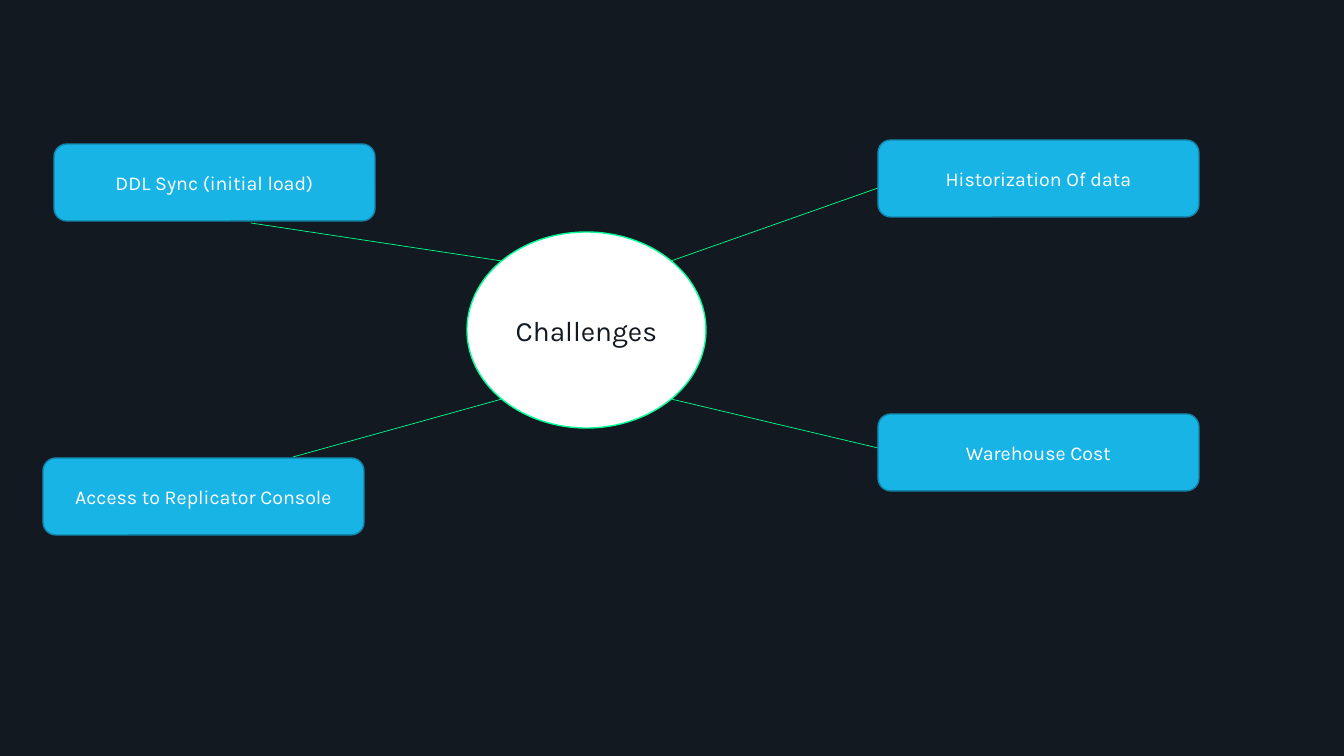
import math

from lxml import etree
from pptx import Presentation
from pptx import util as u
from pptx.dml.color import RGBColor
from pptx.enum import shapes, text
from pptx.oxml.ns import qn

SCALE = 914400 / 100.8  # EMU in one px
FONT = "Karla"
DARK, WHITE, BLUE, BLUE_EDGE = "121921", "FFFFFF", "19B4E6", "1285AA"
HUB_EDGE, LINK = "00FF97", "00FF8B"

HUB = (467, 232, 239, 196)
BOX_WIDTH, BOX_HEIGHT = 321, 77

# Label, box left and top, link end, side of the hub (x, y)
CHALLENGES = [
    ("Historization Of data", (878, 140), (878, 188), (1, -1)),
    ("Warehouse Cost", (878, 414), (878, 448), (1, 1)),
    ("DDL Sync (initial load)", (54, 144), (251, 223), (-1, -1)),
    ("Access to Replicator Console", (43, 458), (293, 457), (-1, 1)),
]


def px(length):
    return u.Emu(round(length * SCALE))


def color(value):
    return RGBColor.from_string(value)


def add_node(page, kind, bounds, label, size, fill, edge, ink):
    node = page.shapes.add_shape(kind, *map(px, bounds))
    node.shadow.inherit = False
    node.fill.solid()
    node.fill.fore_color.rgb = color(fill)
    node.line.color.rgb = color(edge)
    node.line.width = u.Pt(1)
    frame = node.text_frame
    frame.word_wrap = True
    frame.vertical_anchor = text.MSO_ANCHOR.MIDDLE
    para = frame.paragraphs[0]
    para.alignment = text.PP_ALIGN.CENTER
    span = para.add_run()
    span.text = label
    span.font.name = FONT
    span.font.size = u.Pt(size)
    span.font.color.rgb = color(ink)


def add_link(page, start, end):
    link = page.shapes.add_connector(
        shapes.MSO_CONNECTOR.STRAIGHT, *map(px, start + end))
    link.line.color.rgb = color(LINK)
    link.line.width = u.Pt(0.5)
    etree.SubElement(link._element.spPr, qn("a:effectLst"))


def hub_point(side):
    """Point on the hub's outline, on the diagonal towards the given side."""
    left, top, width, height = HUB
    reach = math.sqrt(0.5) / 2
    return (round(left + width / 2 + side[0] * width * reach),
            round(top + height / 2 + side[1] * height * reach))


def main():
    deck = Presentation()
    deck.slide_width, deck.slide_height = px(1344), px(756)
    page = deck.slides.add_slide(deck.slide_layouts[6])
    page.background.fill.solid()
    page.background.fill.fore_color.rgb = color(DARK)

    # Central topic
    add_node(page, shapes.MSO_SHAPE.OVAL, HUB, "Challenges", 20,
             WHITE, HUB_EDGE, DARK)

    # Challenges around it
    for label, corner, link_end, side in CHALLENGES:
        add_link(page, hub_point(side), link_end)
        add_node(page, shapes.MSO_SHAPE.ROUNDED_RECTANGLE,
                 corner + (BOX_WIDTH, BOX_HEIGHT), label, 14,
                 BLUE, BLUE_EDGE, WHITE)

    deck.save("out.pptx")


if __name__ == "__main__":
    main()
